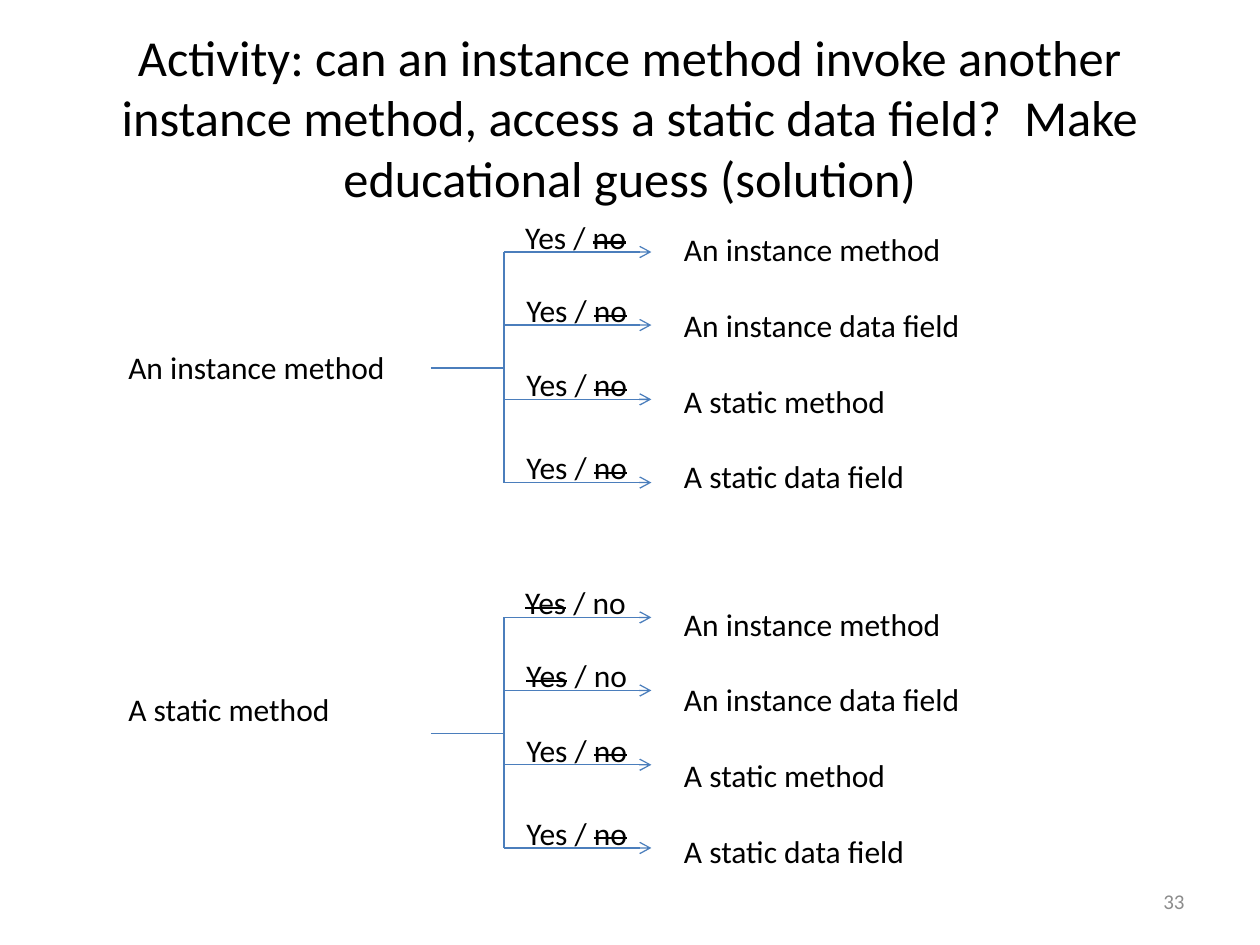
from dataclasses import dataclass

from pptx import Presentation
from pptx import util as u
from pptx.dml.color import RGBColor
from pptx.enum import shapes, text
from pptx.oxml.ns import qn
from lxml import etree

BLACK = RGBColor(0x00, 0x00, 0x00)
GRAY = RGBColor(0x8C, 0x8C, 0x8C)
BLUE = RGBColor(0x4B, 0x7E, 0xBC)
FONT = "Calibri"
TARGETS = ("An instance method", "An instance data field",
           "A static method", "A static data field")
ARROW_OFFSETS = (0, 0.58, 1.17, 1.83)
STEM_OFFSET = 0.92
TRUNK_X = 4
YES = (("Yes / ", False), ("no", True))
NO = (("Yes", True), (" / no", False))


@dataclass(frozen=True)
class Tree:
    caller: str
    caller_top: float
    caller_width: float
    targets_top: float
    top: float
    answers: tuple


TREES = (
    Tree("An instance method", 2.71, 2.26, 1.78, 2, (YES, YES, YES, YES)),
    Tree("A static method", 5.43, 1.82, 4.75, 4.9, (NO, NO, YES, YES)),
)


def add_text(container, box: tuple, paragraphs: tuple, size: float = 18,
             color: RGBColor = BLACK, align=text.PP_ALIGN.LEFT,
             anchor=text.MSO_ANCHOR.TOP, wrap: bool = False,
             gap: float = 0) -> None:
    sp = container.add_textbox(*map(u.Inches, box))
    tf = sp.text_frame
    tf.word_wrap = wrap
    tf.vertical_anchor = anchor
    for i, runs in enumerate(paragraphs):
        p = tf.add_paragraph() if i else tf.paragraphs[0]
        p.alignment = align
        p.space_before = u.Pt(gap if i else 0)
        for content, struck in runs:
            r = p.add_run()
            r.text = content
            r.font.name = FONT
            r.font.size = u.Pt(size)
            r.font.color.rgb = color
            if struck:
                r._r.get_or_add_rPr().set("strike", "sngStrike")


def add_line(container, x1: float, y1: float, x2: float, y2: float,
             arrow: bool = False) -> None:
    sp = container.add_connector(shapes.MSO_CONNECTOR.STRAIGHT,
                                 *map(u.Inches, (x1, y1, x2, y2)))
    sp.line.color.rgb = BLUE
    sp.line.width = u.Pt(0.75)
    if arrow:
        etree.SubElement(sp.line._get_or_add_ln(), qn("a:tailEnd"), type="arrow")
    etree.SubElement(sp._element.spPr, qn("a:effectLst"))


def add_tree(s, tree: Tree) -> None:
    add_text(s.shapes, (0.92, tree.caller_top, tree.caller_width, 0.4),
             (((tree.caller, False),),))
    add_text(s.shapes, (5.33, tree.targets_top, 2.42, 2.22),
             tuple(((target, False),) for target in TARGETS), gap=21.6)
    group = s.shapes.add_group_shape().shapes
    levels = [tree.top + offset for offset in ARROW_OFFSETS]
    for y in levels:
        add_line(group, TRUNK_X, y, 5.17, y, arrow=True)
    add_line(group, TRUNK_X, levels[0], TRUNK_X, levels[-1])
    stem_y = tree.top + STEM_OFFSET
    add_line(group, 3.42, stem_y, TRUNK_X, stem_y)
    for i, (y, answer) in enumerate(zip(levels, tree.answers)):
        add_text(group, (4.08 if i else 4.07, y - 0.32, 1.01, 0.4), (answer,))


prs = Presentation()
prs.slide_width = u.Inches(10)
prs.slide_height = u.Inches(7.5)
s = prs.slides.add_slide(prs.slide_layouts[6])

title = ("Activity: can an instance method invoke another instance method, "
         "access a static data field?  Make educational guess (solution)")
add_text(s.shapes, (0.5, 0.3, 9, 1.25), (((title, False),),), size=28.8,
         align=text.PP_ALIGN.CENTER, anchor=text.MSO_ANCHOR.MIDDLE, wrap=True)
add_text(s.shapes, (7.17, 6.95, 2.33, 0.4), ((("33", False),),), size=12,
         color=GRAY, align=text.PP_ALIGN.RIGHT,
         anchor=text.MSO_ANCHOR.MIDDLE, wrap=True)
for tree in TREES:
    add_tree(s, tree)

prs.save("out.pptx")
